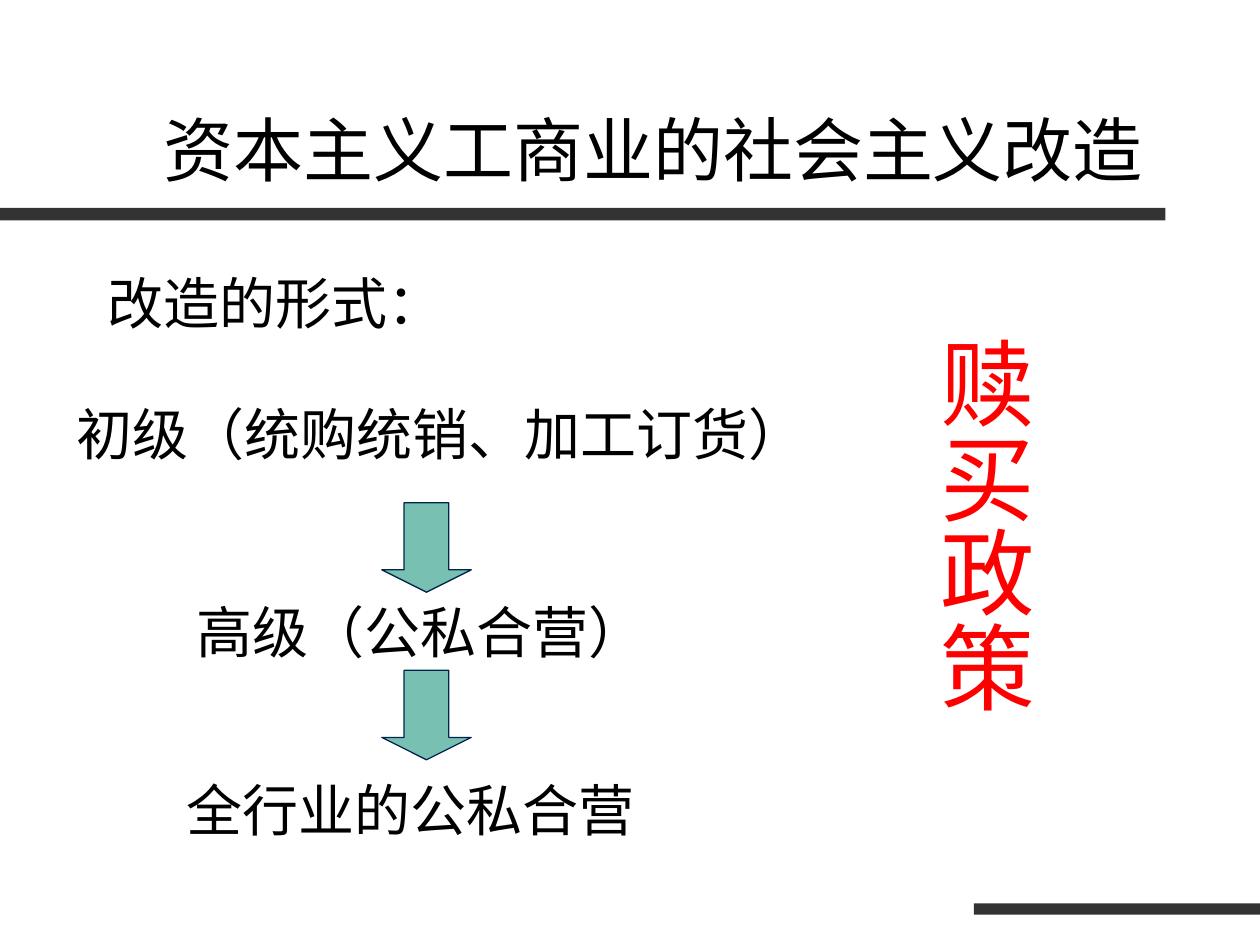
"""Build a slide on the forms of the socialist transformation of industry and commerce."""
import pptx
import pptx.dml.color
import pptx.enum.shapes
import pptx.enum.text
import pptx.oxml.xmlchemy
import pptx.util
from pptx.util import Inches

THEME = {
    "ink": "000000", "accent": "FF0000", "bar": "333333",
    "arrow": "78C0B2", "outline": "00264C",
    "title_font": "Times New Roman", "label_font": "Arial",
    "title_size": 40, "text_size": 32, "policy_size": 54,
}
TITLE = ("资本主义工商业的社会主义改造", (1.2, 0.31, 8.5, 1.25))
HEADING = ("改造的形式：", (0.75, 2.08, 2.74, 0.72))
STAGES = [
    ("初级（统购统销、加工订货）", (0.51, 3.12, 6.06, 0.64)),
    ("高级（公私合营）", (1.46, 4.69, 3.94, 0.64)),
    ("全行业的公私合营", (1.38, 6.11, 4.17, 0.64)),
]
POLICY = ("赎买政策", (7.21, 2.57, 1.1, 3.31))
BARS = [(0, 1.65, 9.25, 0.1), (7.73, 7.17, 2.27, 0.09)]
ARROW_LEFT, ARROW_SIZE, ARROW_TOPS = 3.03, 0.71, (3.99, 5.32)


def color(name):
    return pptx.dml.color.RGBColor.from_string(THEME[name])


def place(shape, box):
    shape.left, shape.top, shape.width, shape.height = map(Inches, box)


def write(shape, text, size="text_size", font="label_font", ink="ink",
          anchor="TOP", grow=True, insets=(0.1, 0.05), vertical=False):
    frame = shape.text_frame
    frame.word_wrap = True
    frame.auto_size = getattr(pptx.enum.text.MSO_AUTO_SIZE,
                              "SHAPE_TO_FIT_TEXT" if grow else "NONE")
    frame.vertical_anchor = getattr(pptx.enum.text.MSO_ANCHOR, anchor)
    frame.margin_left = frame.margin_right = Inches(insets[0])
    frame.margin_top = frame.margin_bottom = Inches(insets[1])
    if vertical:
        frame._txBody.bodyPr.set("vert", "eaVert")
    paragraph = frame.paragraphs[0]
    paragraph.alignment = pptx.enum.text.PP_ALIGN.LEFT
    paragraph.space_before = pptx.util.Pt(0)
    run = paragraph.add_run()
    run.text = text
    run.font.size = pptx.util.Pt(THEME[size])
    run.font.name = THEME[font]
    run.font.color.rgb = color(ink)
    return paragraph


def add_shape(slide, kind, box, fill, outline=None):
    shape = slide.shapes.add_shape(
        getattr(pptx.enum.shapes.MSO_SHAPE, kind), *map(Inches, box))
    shape.shadow.inherit = False
    shape.fill.solid()
    shape.fill.fore_color.rgb = color(fill)
    if outline:
        shape.line.color.rgb = color(outline)
        shape.line.width = pptx.util.Pt(0.75)
    else:
        shape.line.fill.background()
    return shape


def add_label(slide, text, box, **style):
    write(slide.shapes.add_textbox(*map(Inches, box)), text, **style)


def main():
    presentation = pptx.Presentation()
    presentation.slide_width, presentation.slide_height = Inches(10), Inches(7.5)
    slide = presentation.slides.add_slide(presentation.slide_layouts[1])

    for box in BARS:
        add_shape(slide, "RECTANGLE", box, "bar")

    title, body = slide.shapes.title, slide.placeholders[1]
    place(title, TITLE[1])
    write(title, TITLE[0], size="title_size", font="title_font",
          anchor="BOTTOM", grow=False)
    place(body, HEADING[1])
    paragraph = write(body, HEADING[0], font="title_font", grow=False)
    properties = paragraph._p.get_or_add_pPr()
    properties.set("marL", "0")
    properties.set("indent", "0")
    properties.append(pptx.oxml.xmlchemy.OxmlElement("a:buNone"))

    for text, box in STAGES:
        add_label(slide, text, box)
    for top in ARROW_TOPS:
        arrow = add_shape(slide, "DOWN_ARROW",
                          (ARROW_LEFT, top, ARROW_SIZE, ARROW_SIZE),
                          "arrow", "outline")
        arrow.adjustments[0], arrow.adjustments[1] = 0.5, 0.25
    add_label(slide, *POLICY, size="policy_size", ink="accent",
              insets=(0.05, 0.1), vertical=True)

    presentation.save("out.pptx")


if __name__ == "__main__":
    main()
